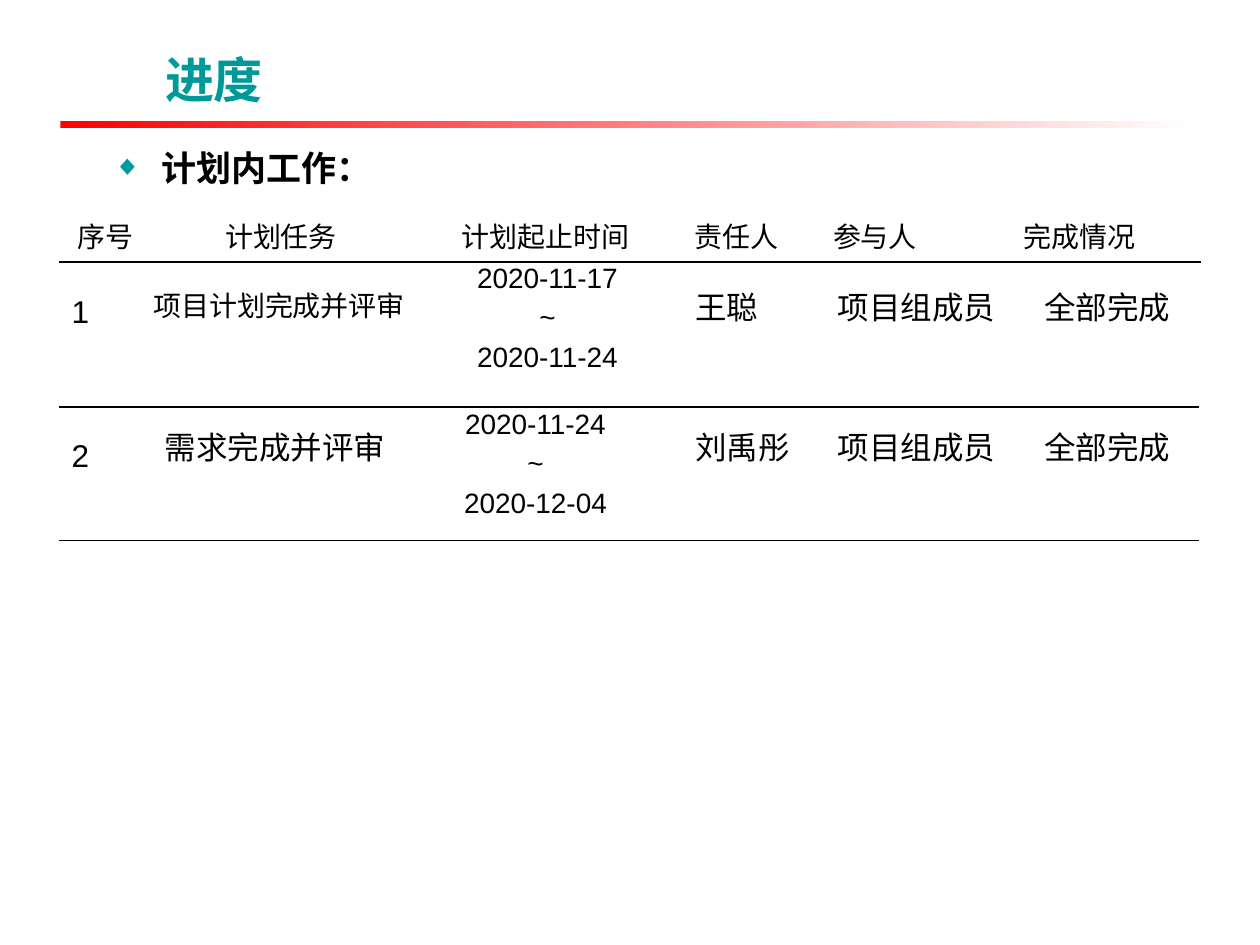
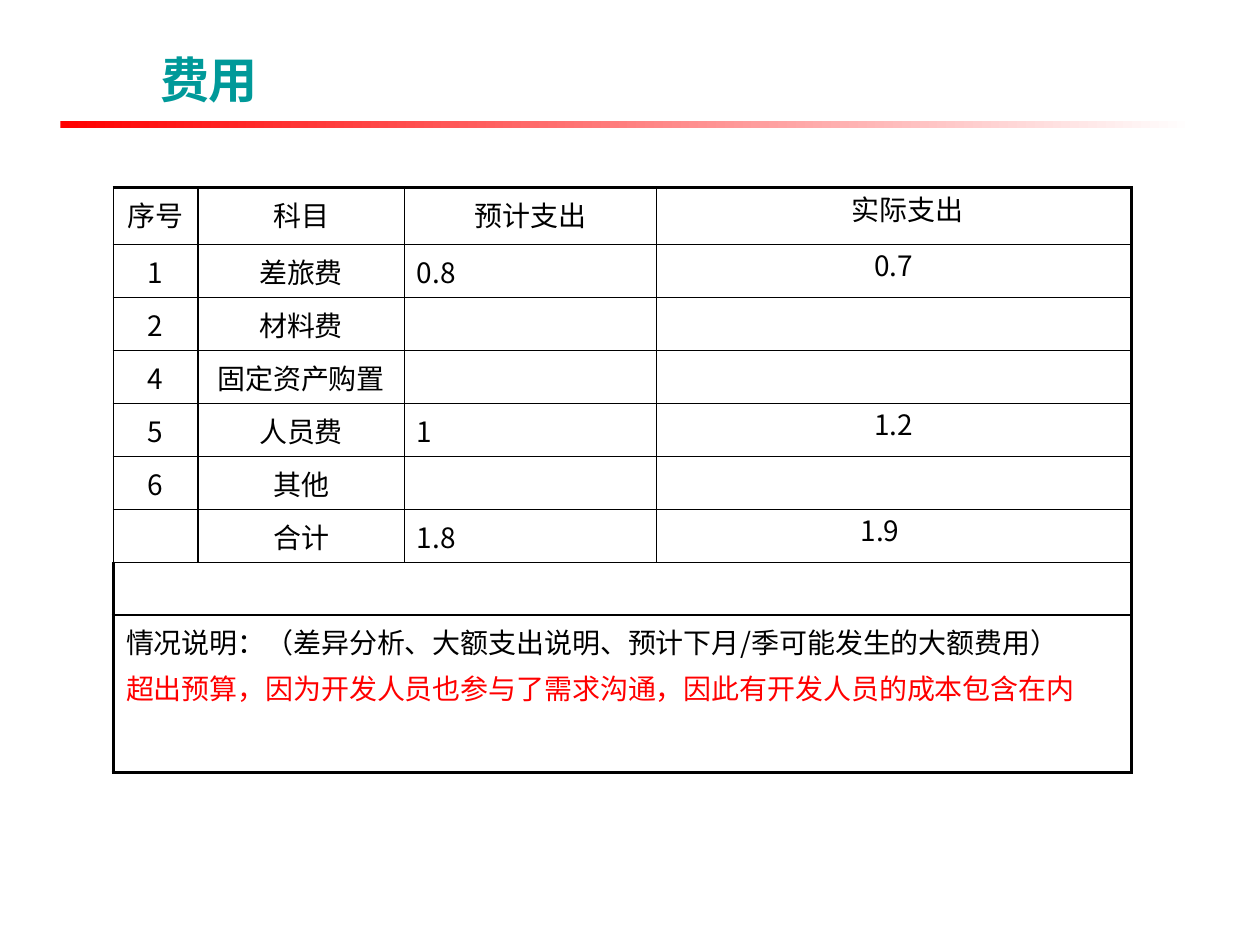
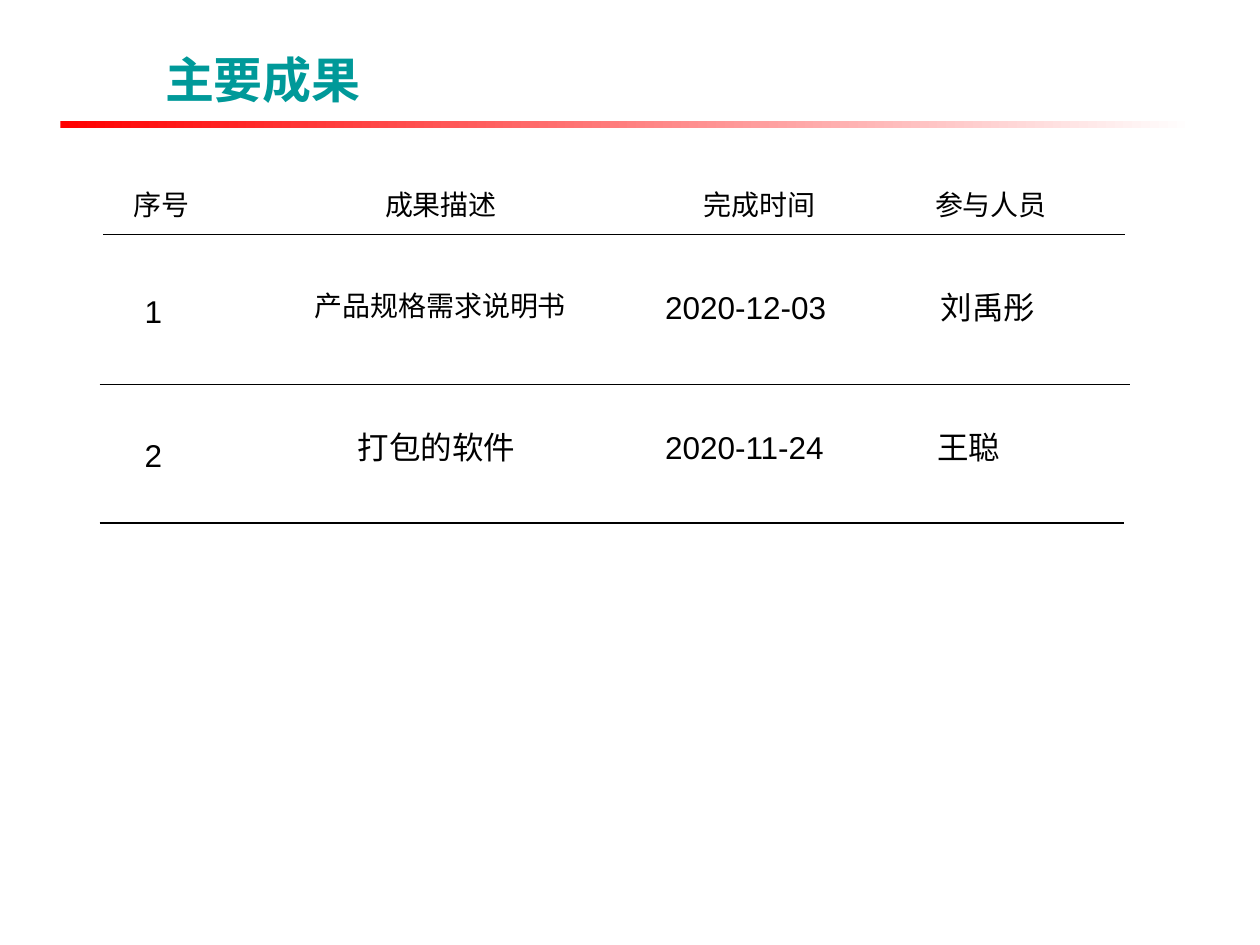
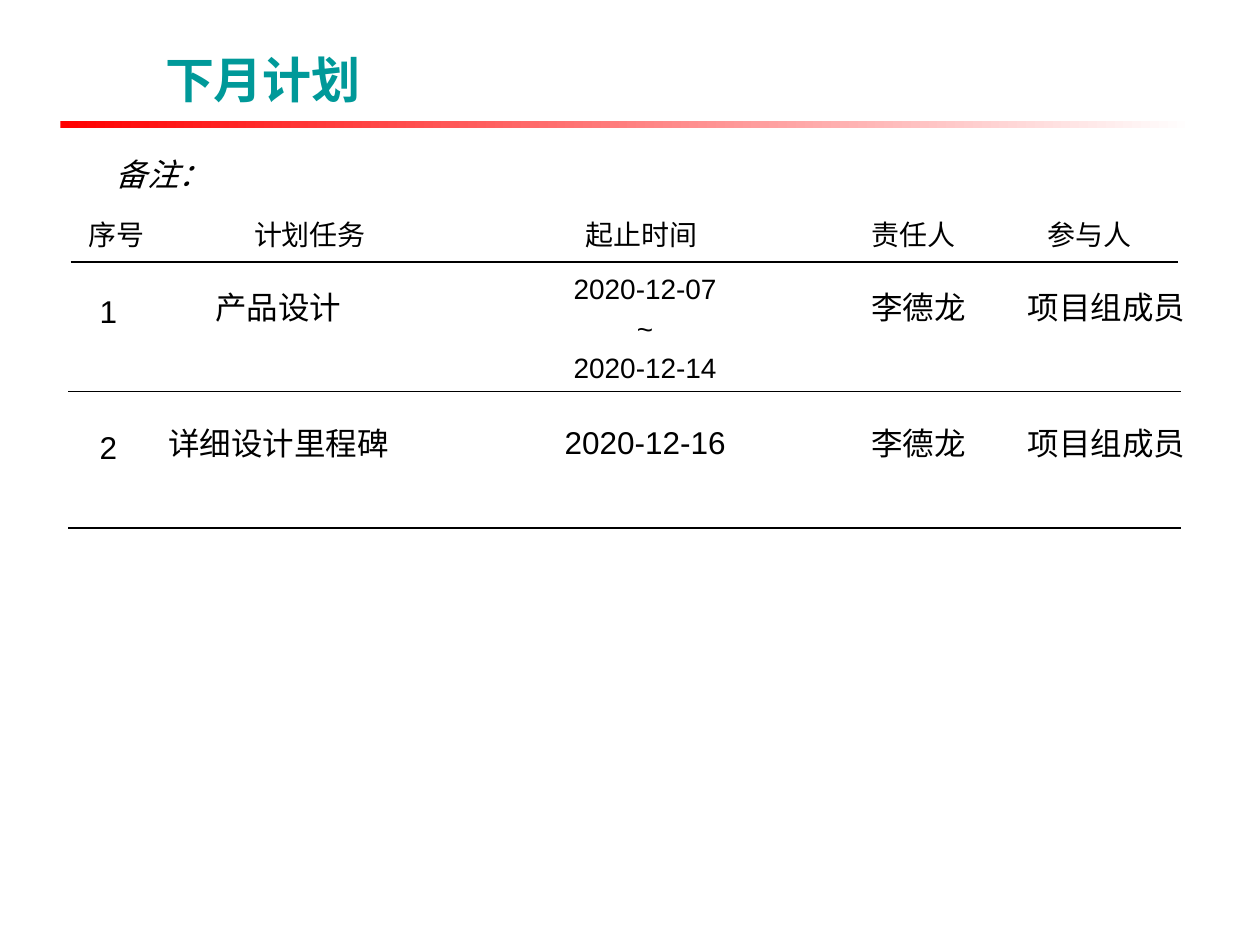
from lxml import etree
from pptx import Presentation, oxml
from pptx.dml.color import RGBColor
from pptx.enum import shapes, text
from pptx.oxml import ns
from pptx.util import Inches, Pt

TEAL = RGBColor(0x00, 0x99, 0x99)
RED = RGBColor(0xFF, 0x00, 0x00)
BLACK = RGBColor(0x00, 0x00, 0x00)
WHITE = RGBColor(0xFF, 0xFF, 0xFF)
ARIAL = "Arial"
NOTO = "Noto Sans CJK SC"
LEFT, CENTER = text.PP_ALIGN.LEFT, text.PP_ALIGN.CENTER
THIN, THICK = 1, 2.25
XMLNS = ns.nsdecls("a")


def write(frame, content, size, font=ARIAL, align=LEFT, color=BLACK, bold=False, italic=False):
    """Fill a text frame, one paragraph per line, with 20% space before each."""
    frame.text = content
    for paragraph in frame.paragraphs:
        paragraph.alignment = align
        paragraph._p.get_or_add_pPr().insert(0, oxml.parse_xml(
            f'<a:spcBef {XMLNS}><a:spcPct val="20000"/></a:spcBef>'))
        for run in paragraph.runs:
            run.font.size, run.font.name = Pt(size), font
            run.font.bold, run.font.italic = bold, italic
            run.font.color.rgb = color
            east_asian = etree.SubElement(run.font._element, ns.qn("a:ea"))
            east_asian.set("typeface", NOTO)


def set_borders(cell, left=0, right=0, top=0, bottom=0):
    """Clear the fill of a cell and give its edges these widths in points."""
    cell.fill.background()
    properties = cell._tc.get_or_add_tcPr()
    for place, (side, width) in enumerate(zip("LRTB", (left, right, top, bottom))):
        paint = f'<a:solidFill><a:srgbClr val="{BLACK}"/></a:solidFill>' if width else "<a:noFill/>"
        properties.insert(place, oxml.parse_xml(
            f'<a:ln{side} {XMLNS} w="{Pt(width)}">{paint}</a:ln{side}>'))


prs = Presentation()
prs.slide_width, prs.slide_height = Inches(10), Inches(7.5)
CONTENT_LAYOUT, TITLE_ONLY = prs.slide_layouts[1], prs.slide_layouts[5]

# Each slide: title, its left edge, layout
pages = []
for title, left, layout in [
    ("进度", 1.21, CONTENT_LAYOUT),
    ("费用 ", 1.17, TITLE_ONLY),
    ("主要成果", 1.21, TITLE_ONLY),
    ("下月计划", 1.21, TITLE_ONLY),
]:
    page = prs.slides.add_slide(layout)
    heading = page.shapes.title
    heading.left, heading.top = Inches(left), Inches(0.28)
    heading.width, heading.height = Inches(8.35), Inches(0.63)
    write(heading.text_frame, title, 28, color=TEAL, bold=True)
    heading.text_frame.vertical_anchor = text.MSO_ANCHOR.BOTTOM
    heading.text_frame.auto_size = text.MSO_AUTO_SIZE.NONE
    pages.append(page)
progress, costs, results, next_month = pages

# The fading band under every title belongs to the master
band = progress.shapes.add_shape(
    shapes.MSO_SHAPE.RECTANGLE, Inches(0.48), Inches(0.96), Inches(9), Inches(0.06))
band.shadow.inherit = False
band.line.fill.background()
band.fill.gradient()
band.fill.gradient_angle = 0
for stop, color in zip(band.fill.gradient_stops, (RED, WHITE)):
    stop.color.rgb = color
prs.slide_master.shapes.element.append(band.element)

# Progress: bulleted lead-in
lead_in = progress.placeholders[1]
lead_in.left, lead_in.top = Inches(0.8), Inches(1.11)
lead_in.width, lead_in.height = Inches(8.78), Inches(5.68)
write(lead_in.text_frame, "计划内工作：", 20, bold=True)
lead_in.text_frame.auto_size = text.MSO_AUTO_SIZE.NONE
bullet = lead_in.text_frame.paragraphs[0]._p.get_or_add_pPr()
bullet.set("marL", str(Inches(0.38)))
bullet.set("indent", str(Inches(-0.38)))
for mark in (f'<a:buClr {XMLNS}><a:srgbClr val="{TEAL}"/></a:buClr>',
             f'<a:buSzPct {XMLNS} val="80000"/>',
             f'<a:buFont {XMLNS} typeface="{ARIAL}"/>',
             f'<a:buChar {XMLNS} char="◆"/>'):
    bullet.append(oxml.parse_xml(mark))

# Header rows: slide, left, top, height, anchor, (label, column width)
TOP, MIDDLE = text.MSO_ANCHOR.TOP, text.MSO_ANCHOR.MIDDLE
for page, left, top, height, anchor, columns in [
    (progress, 0.47, 1.66, 0.4, TOP,
     [("序号", 0.74), ("计划任务", 2.04), ("计划起止时间", 2.16),
      ("责任人", 0.87), ("参与人", 1.33), ("完成情况", 1.92)]),
    (results, 0.82, 1.37, 0.49, MIDDLE,
     [("序号", 0.92), ("成果描述", 3.52), ("完成时间", 1.54), ("参与人员", 2.13)]),
    (next_month, 0.56, 1.64, 0.44, TOP,
     [("序号", 0.73), ("计划任务", 2.34), ("起止时间", 2.92), ("责任人", 1.4), ("参与人", 1.4)]),
]:
    total = sum(width for _, width in columns)
    header = page.shapes.add_table(
        1, len(columns), Inches(left), Inches(top), Inches(total), Inches(height)).table
    header.first_row = header.horz_banding = False
    for index, (label, width) in enumerate(columns):
        header.columns[index].width = Inches(width)
        cell = header.cell(0, index)
        write(cell.text_frame, label, 16, NOTO, CENTER)
        cell.vertical_anchor = anchor
        set_borders(cell, bottom=THIN)

# Entries under the headers: left, top, width, size, font, alignment, text
progress_entries = [
    (0.47, 2.27, 0.66, 18, ARIAL, LEFT, "1"),
    (1.12, 2.24, 2.23, 16, ARIAL, LEFT, "项目计划完成并评审"),
    (3.16, 2.02, 2.37, 16, ARIAL, CENTER, "2020-11-17\n~\n2020-11-24"),
    (5.42, 2.24, 1.12, 18, ARIAL, LEFT, "王聪"),
    (0.47, 3.41, 0.66, 18, ARIAL, LEFT, "2"),
    (1.21, 3.35, 2, 18, NOTO, LEFT, "需求完成并评审"),
    (3.13, 3.18, 2.24, 16, ARIAL, CENTER, "2020-11-24\n~\n2020-12-04"),
    (5.42, 3.35, 1.17, 18, ARIAL, LEFT, "刘禹彤"),
]
result_entries = [
    (1.05, 2.27, 0.66, 18, ARIAL, LEFT, "1"),
    (2.4, 2.24, 2.35, 16, NOTO, LEFT, "产品规格需求说明书"),
    (5.18, 2.24, 2, 18, ARIAL, LEFT, "2020-12-03"),
    (7.37, 2.24, 1.76, 18, ARIAL, LEFT, "刘禹彤"),
    (1.05, 3.41, 0.66, 18, ARIAL, LEFT, "2"),
    (2.74, 3.35, 2, 18, NOTO, LEFT, "打包的软件"),
    (5.18, 3.35, 2, 18, ARIAL, LEFT, "2020-11-24"),
    (7.34, 3.35, 1.79, 18, ARIAL, LEFT, "王聪"),
]
next_month_entries = [
    (0.53, 2.27, 0.66, 18, ARIAL, CENTER, "1"),
    (1.21, 2.24, 2, 18, NOTO, CENTER, "产品设计"),
    (4, 2.11, 2.24, 16, ARIAL, CENTER, "2020-12-07\n~\n2020-12-14"),
    (0.53, 3.35, 0.66, 18, ARIAL, CENTER, "2"),
    (1.21, 3.32, 2, 18, NOTO, CENTER, "详细设计里程碑"),
    (4, 3.31, 2.24, 18, ARIAL, CENTER, "2020-12-16"),
]
for top in (2.24, 3.35):
    progress_entries += [(6.55, top, 1.5, 18, ARIAL, LEFT, "项目组成员"),
                         (8.19, top, 1.21, 18, ARIAL, LEFT, "全部完成")]
for top in (2.24, 3.32):
    next_month_entries += [(6.57, top, 1.44, 18, ARIAL, CENTER, "李德龙"),
                           (8.06, top, 1.45, 18, ARIAL, LEFT, "项目组成员")]
for page, entries in [(progress, progress_entries), (results, result_entries),
                      (next_month, next_month_entries)]:
    for left, top, width, size, font, align, content in entries:
        height = 1.06 if "\n" in content else 0.4
        entry = page.shapes.add_textbox(Inches(left), Inches(top), Inches(width), Inches(height))
        entry.text_frame.word_wrap = True
        write(entry.text_frame, content, size, font, align)

remark = next_month.shapes.add_textbox(Inches(0.82), Inches(1.18), Inches(0.95), Inches(0.4))
remark.text_frame.word_wrap = False
write(remark.text_frame, "备注：", 18, italic=True)

# Rules below the entries: slide, left, right, height on the slide
for page, left, right, y in [
    (progress, 0.47, 9.52, 3.23), (progress, 0.47, 9.52, 4.29),
    (results, 0.79, 8.97, 3.05), (results, 0.79, 8.92, 4.15),
    (next_month, 0.54, 9.37, 3.11), (next_month, 0.54, 9.37, 4.19),
]:
    rule = page.shapes.add_connector(
        shapes.MSO_CONNECTOR.STRAIGHT, Inches(left), Inches(y), Inches(right), Inches(y))
    rule.line.color.rgb = BLACK
    rule.line.width = Pt(0.75)
    etree.SubElement(rule.element.spPr, ns.qn("a:effectLst"))

# Costs: budget table whose last two rows span its full width
budget_rows = [
    ("序号", "科目", "预计支出", "\u3000实际支出"),
    ("1", "差旅费", "0.8", "0.7"),
    ("2", "材料费", "", ""),
    ("4", "固定资产购置", "", ""),
    ("5", "人员费", "1", "1.2"),
    ("6", "其他", "", ""),
    ("", "合计", "1.8", "1.9\u3000"),
    ("", "", "", ""),
    ("情况说明：（差异分析、大额支出说明、预计下月/季可能发生的大额费用）\n"
     "超出预算，因为开发人员也参与了需求沟通，因此有开发人员的成本包含在内", "", "", ""),
]
FIRST_SPAN, LAST_ROW, ACTUAL = 7, 8, 3
heights = [0.45] + [0.42] * 7 + [1.25]
widths = [0.67, 1.64, 2, 3.77]
budget = costs.shapes.add_table(
    len(heights), len(widths), Inches(0.9), Inches(1.49),
    Inches(sum(widths)), Inches(sum(heights))).table
budget.first_row = budget.horz_banding = False
for column, width in zip(budget.columns, widths):
    column.width = Inches(width)
for r, (height, values) in enumerate(zip(heights, budget_rows)):
    budget.rows[r].height = Inches(height)
    for c, value in enumerate(values):
        cell = budget.cell(r, c)
        left_aligned = r == LAST_ROW or (c == 2 and r > 0)
        write(cell.text_frame, value, 16, NOTO, LEFT if left_aligned else CENTER)
        if c == ACTUAL and r < FIRST_SPAN:
            cell.margin_left = cell.margin_right = cell.margin_top = cell.margin_bottom = 0
        set_borders(cell,
                    left=THICK if r >= FIRST_SPAN and c == 0 else THIN,
                    right=THICK if c == ACTUAL or r >= FIRST_SPAN else THIN,
                    top=THICK if r == 0 else THIN,
                    bottom=THICK if r == LAST_ROW else THIN)
for r in (FIRST_SPAN, LAST_ROW):
    budget.cell(r, 0).merge(budget.cell(r, ACTUAL))
budget.cell(LAST_ROW, 0).text_frame.paragraphs[1].runs[0].font.color.rgb = RED

prs.save("out.pptx")
